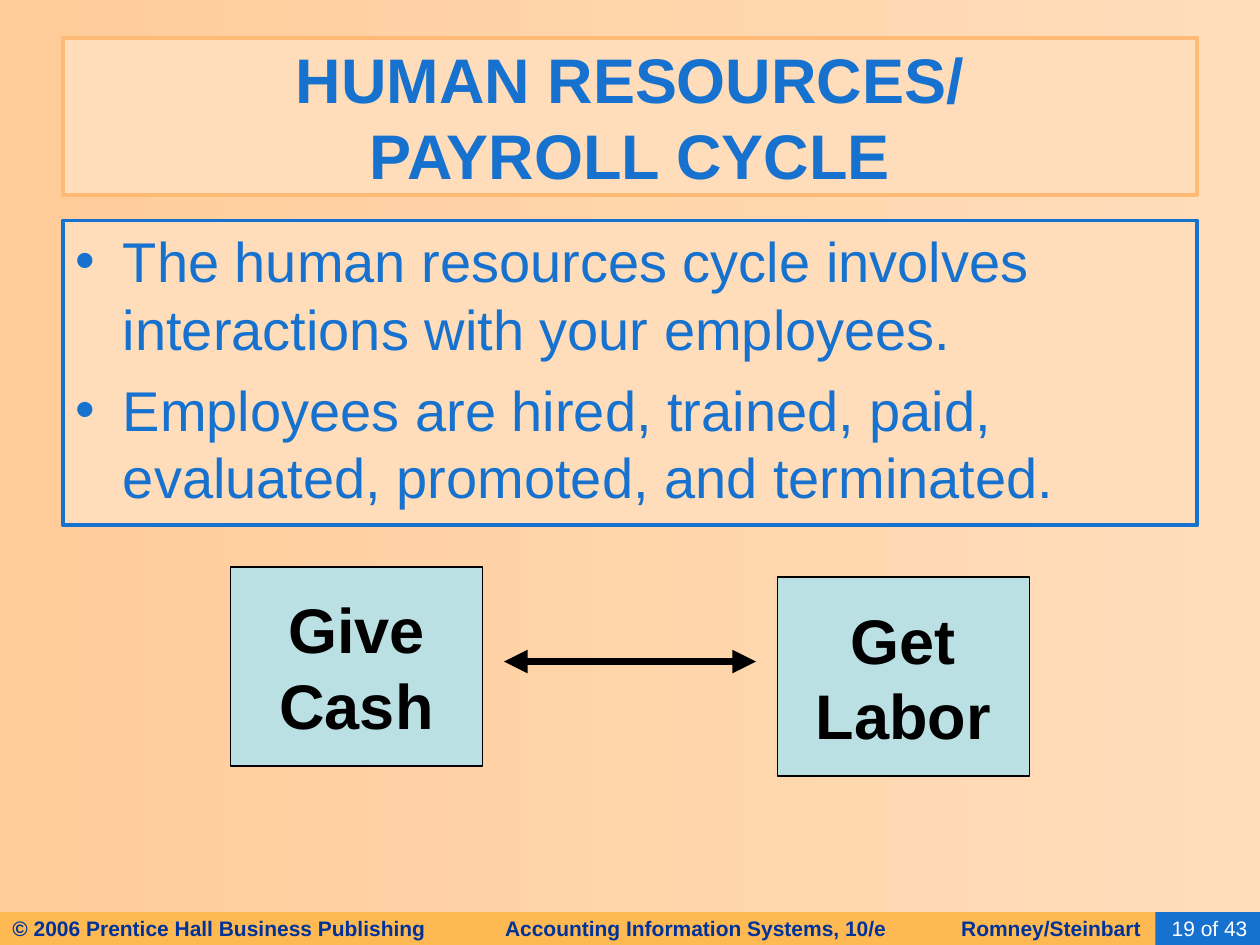
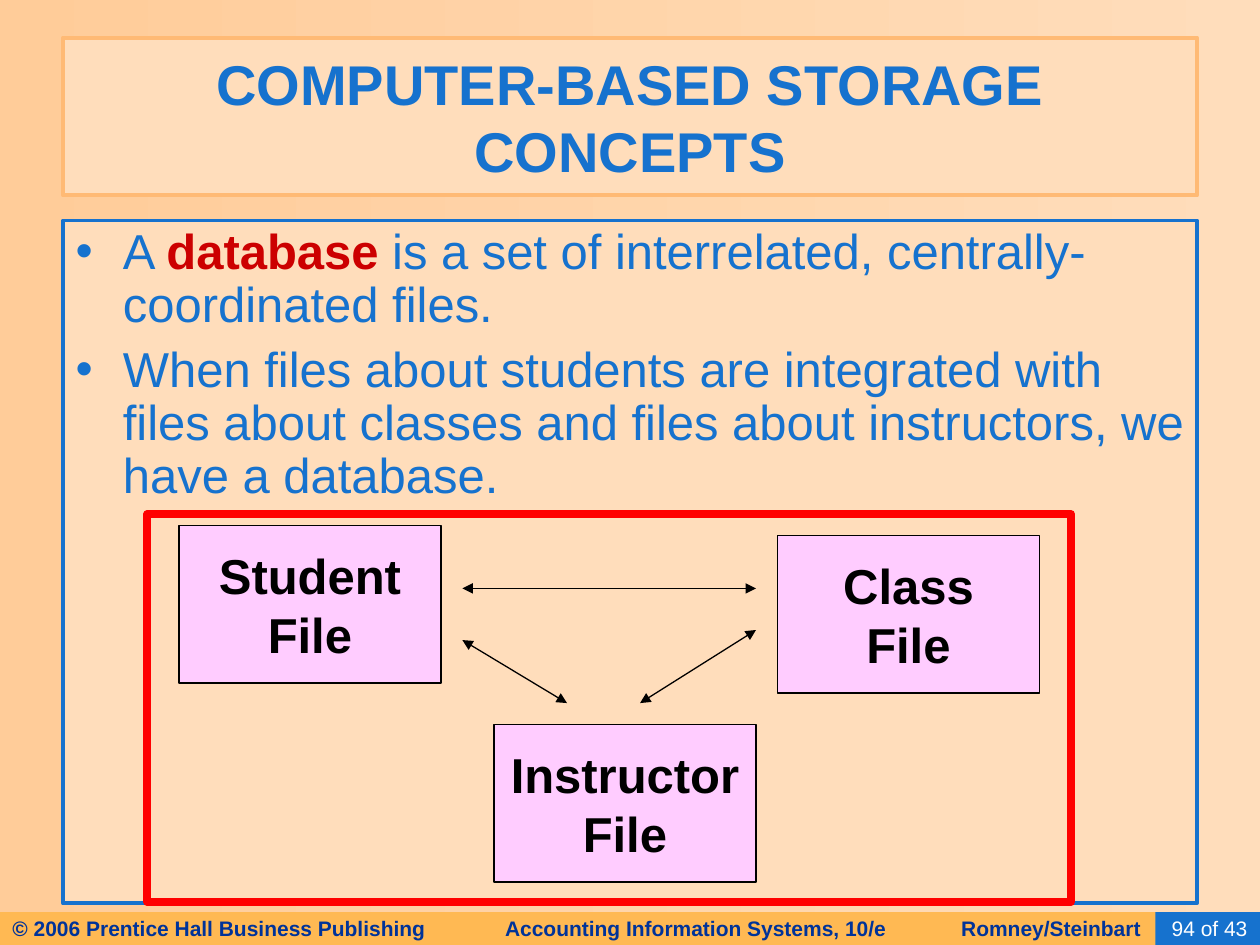
from lxml.etree import SubElement
from pptx import Presentation
from pptx.dml.color import RGBColor
from pptx.enum.shapes import MSO_CONNECTOR, MSO_SHAPE
from pptx.enum.text import MSO_ANCHOR, MSO_AUTO_SIZE, PP_ALIGN
from pptx.oxml.ns import qn
from pptx.util import Inches, Pt

THEME = {
    "font": "Arial",
    "blue": RGBColor.from_string("1672CE"),
    "navy": RGBColor.from_string("003399"),
    "peach": RGBColor.from_string("FFDDBB"),
    "deep peach": RGBColor.from_string("FFCC99"),
    "title edge": RGBColor.from_string("FFBA75"),
    "band": RGBColor.from_string("FFB953"),
    "teal": RGBColor.from_string("BBE0E3"),
    "pink": RGBColor.from_string("FFCCFF"),
    "term": RGBColor.from_string("CC0000"),
    "frame": RGBColor.from_string("FF0000"),
    "black": RGBColor.from_string("000000"),
    "white": RGBColor.from_string("FFFFFF"),
    "footer size": 12,
}

# Each content run is (text, colour, bold); boxes are (lines, left, top)
SLIDES = [
    {
        "title": "HUMAN RESOURCES/\vPAYROLL CYCLE",
        "title size": 36,
        "body height": 2.42,
        "body size": 32,
        "line spacing": 1.0,
        "space before": 8,
        "bullets": [
            [("The human resources cycle involves interactions with your employees.", "blue", False)],
            [("Employees are hired, trained, paid, evaluated, promoted, and terminated.", "blue", False)],
        ],
        "box size": (2, 1.58),
        "box fill": "teal",
        "box text": 36,
        "boxes": [(["Give", "Cash"], 1.83, 4.5), (["Get", "Labor"], 6.17, 4.58)],
        "arrow width": 4.5,
        "arrows": [(6, 5.25, 4, 5.25)],
        "frame": None,
        "page": "19 of 43",
    },
    {
        "title": "COMPUTER-BASED STORAGE CONCEPTS",
        "title size": 32,
        "body height": 5.42,
        "body size": 28,
        "line spacing": 0.9,
        "space before": 7,
        "bullets": [
            [
                ("A ", "blue", False),
                ("database", "term", True),
                (" is a set of interrelated, centrally-coordinated files.", "blue", False),
            ],
            [
                (
                    "When files about students are integrated with files about classes "
                    "and files about instructors, we have a database.",
                    "blue",
                    False,
                )
            ],
        ],
        "box size": (2.08, 1.25),
        "box fill": "pink",
        "box text": 28,
        "boxes": [
            (["Student", "File"], 1.42, 4.17),
            (["Class", "File"], 6.17, 4.25),
            (["Instructor", "File"], 3.92, 5.75),
        ],
        "arrow width": 0.75,
        "arrows": [(3.67, 4.67, 6, 4.67), (3.67, 5.08, 4.5, 5.58), (5.08, 5.58, 6, 5)],
        "frame": (1.17, 4.08, 7.33, 3.08),
        "page": "94 of 43",
    },
]


def style_shape(shape, bounds, fill=None, line=None, line_width=0.75):
    """Place a shape and give it its fill, outline and text frame settings."""
    for name, value in zip(("left", "top", "width", "height"), bounds):
        setattr(shape, name, Inches(value))
    if fill:
        shape.fill.solid()
        shape.fill.fore_color.rgb = THEME[fill]
    else:
        shape.fill.background()
    if line:
        shape.line.color.rgb = THEME[line]
        shape.line.width = Pt(line_width)
    else:
        shape.line.fill.background()
    shape.shadow.inherit = False
    shape.text_frame.auto_size = MSO_AUTO_SIZE.NONE


def write(paragraph, text, size, color, bold=False):
    """Add formatted text, keeping any line break at the same size."""
    for index, part in enumerate(text.split("\v")):
        if index:
            paragraph.add_line_break()
            line_break = paragraph._p.findall(qn("a:br"))[-1]
            SubElement(line_break, qn("a:rPr"), sz=str(size * 100))
        run = paragraph.add_run()
        run.text = part
        font_format = {"name": THEME["font"], "size": Pt(size), "bold": bold}
        for name, value in font_format.items():
            setattr(run.font, name, value)
        run.font.color.rgb = THEME[color]


presentation = Presentation()
presentation.slide_width = Inches(10)
presentation.slide_height = Inches(7.5)

# Shared background
background = presentation.slide_master.background.fill
background.gradient()
background.gradient_angle = 180
for stop, color in zip(background.gradient_stops, ("peach", "deep peach")):
    stop.color.rgb = THEME[color]

for content in SLIDES:
    slide = presentation.slides.add_slide(presentation.slide_layouts[1])

    # Footer band with tab-aligned parts
    band = slide.shapes.add_shape(MSO_SHAPE.RECTANGLE, 0, 0, 0, 0)
    style_shape(band, (0, 7.24, 9.25, 0.26), fill="band")
    paragraph = band.text_frame.paragraphs[0]
    paragraph.alignment = PP_ALIGN.LEFT
    tab_list = SubElement(paragraph._p.get_or_add_pPr(), qn("a:tabLst"))
    for position in (3.91, 7.53):
        SubElement(tab_list, qn("a:tab"), pos=str(Inches(position)), algn="l")
    footer = "© 2006 Prentice Hall Business Publishing\tAccounting Information Systems, 10/e\tRomney/Steinbart"
    write(paragraph, footer, THEME["footer size"], "navy", True)

    # Page number
    page = slide.shapes.add_shape(MSO_SHAPE.RECTANGLE, 0, 0, 0, 0)
    style_shape(page, (9.17, 7.24, 0.83, 0.26), fill="blue")
    paragraph = page.text_frame.paragraphs[0]
    paragraph.alignment = PP_ALIGN.RIGHT
    write(paragraph, content["page"], THEME["footer size"], "white")

    # Title
    title = slide.shapes.title
    style_shape(title, (0.5, 0.3, 9, 1.25), "peach", "title edge", 2.5)
    title.text_frame.vertical_anchor = MSO_ANCHOR.MIDDLE
    paragraph = title.text_frame.paragraphs[0]
    paragraph.alignment = PP_ALIGN.CENTER
    write(paragraph, content["title"], content["title size"], "blue", True)

    # Bulleted list
    body = slide.placeholders[1]
    style_shape(body, (0.5, 1.75, 9, content["body height"]), "peach", "blue", 2.25)
    for index, runs in enumerate(content["bullets"]):
        paragraph = body.text_frame.add_paragraph() if index else body.text_frame.paragraphs[0]
        paragraph.line_spacing = content["line spacing"]
        paragraph.space_before = Pt(content["space before"] if index else 0)
        for text, color, bold in runs:
            write(paragraph, text, content["body size"], color, bold)

    # Diagram boxes
    for lines, left, top in content["boxes"]:
        box = slide.shapes.add_shape(MSO_SHAPE.RECTANGLE, 0, 0, 0, 0)
        style_shape(box, (left, top, *content["box size"]), content["box fill"], "black")
        box.text_frame.word_wrap = False
        for index, line in enumerate(lines):
            paragraph = box.text_frame.add_paragraph() if index else box.text_frame.paragraphs[0]
            paragraph.alignment = PP_ALIGN.CENTER
            write(paragraph, line, content["box text"], "black", True)

    # Double-headed arrows
    for ends in content["arrows"]:
        arrow = slide.shapes.add_connector(MSO_CONNECTOR.STRAIGHT, *map(Inches, ends))
        arrow.line.color.rgb = THEME["black"]
        arrow.line.width = Pt(content["arrow width"])
        for end in ("a:headEnd", "a:tailEnd"):
            SubElement(arrow.line._get_or_add_ln(), qn(end), type="triangle")
        SubElement(arrow._element.spPr, qn("a:effectLst"))

    # Frame around the database
    if content["frame"]:
        frame = slide.shapes.add_shape(MSO_SHAPE.RECTANGLE, 0, 0, 0, 0)
        style_shape(frame, content["frame"], line="frame", line_width=4.5)

presentation.save("out.pptx")
